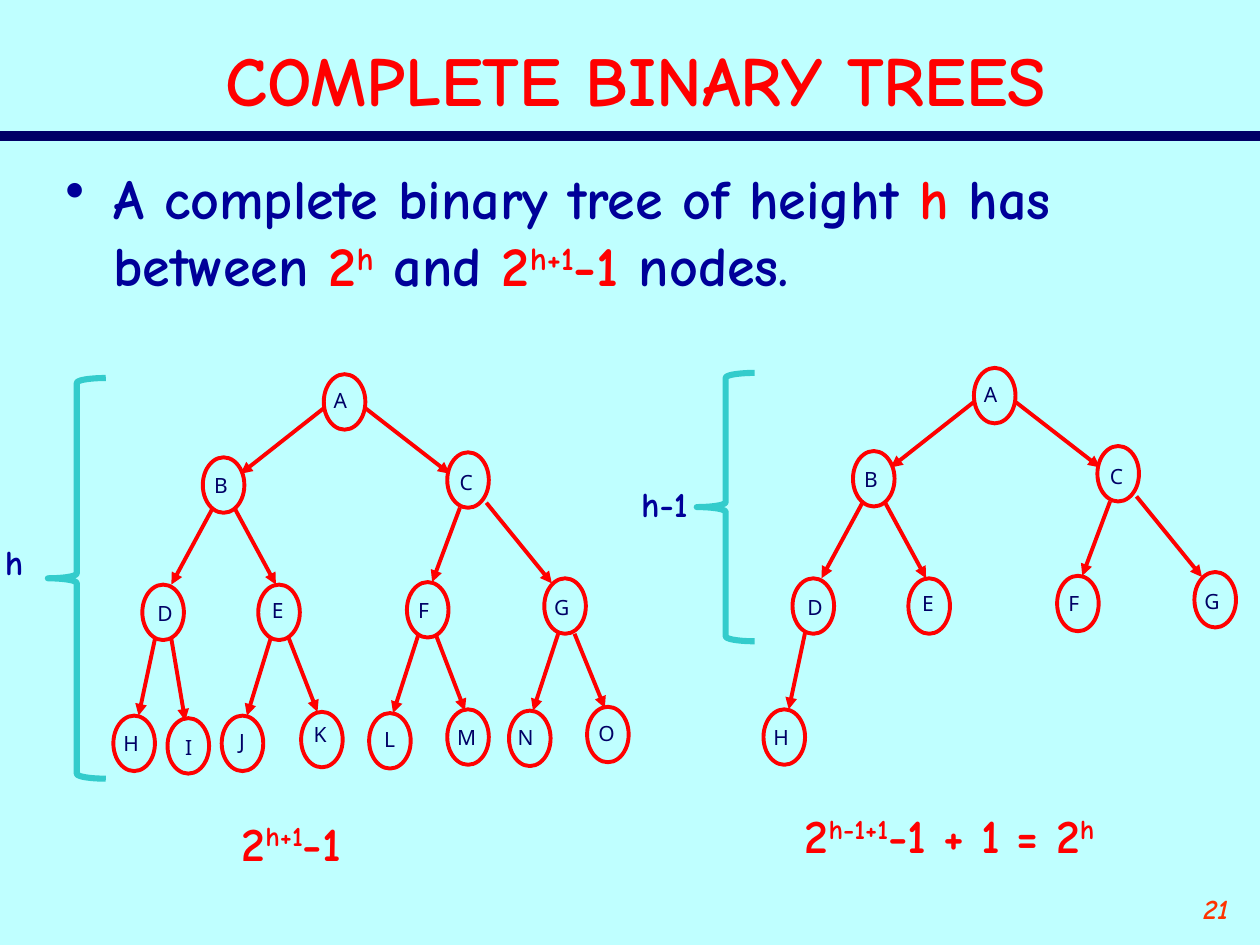
"""Build a slide comparing the fullest and sparsest complete binary trees."""
from dataclasses import dataclass
from typing import NamedTuple

import lxml.etree
import pptx
import pptx.dml.color
import pptx.enum.shapes
import pptx.enum.text
import pptx.oxml
import pptx.oxml.ns
import pptx.util
from pptx.util import Inches

ALIGN = pptx.enum.text.PP_ALIGN
ANCHOR = pptx.enum.text.MSO_ANCHOR
SHAPE = pptx.enum.shapes.MSO_SHAPE


@dataclass(frozen=True)
class Theme:
    background: str = "BFFFFF"
    navy: str = "000066"
    blue: str = "000099"
    red: str = "FF0000"
    orange: str = "FF3300"
    teal: str = "33CCCC"
    display: str = "Comic Neue"
    plain: str = "Noto Sans"
    title: float = 40
    body: float = 32
    formula: float = 27.2
    height: float = 20
    number: float = 16
    node: float = 12
    rule_line: float = 6
    brace_line: float = 3.5
    tree_line: float = 2.25


THEME = Theme()


class Area(NamedTuple):
    left: float
    top: float
    width: float
    height: float


class Span(NamedTuple):
    text: str
    color: str = THEME.red
    raised: bool = False


class Link(NamedTuple):
    x1: float
    y1: float
    x2: float
    y2: float


class Node(NamedTuple):
    name: str
    left: float
    top: float
    label_left: float
    label_top: float
    label_width: float
    link: Link | None = None


NODE_WIDTH, NODE_HEIGHT, LABEL_HEIGHT = 0.33, 0.44, 0.3
RIGHT_SHIFT, RIGHT_RISE = 5.16, -0.05

NODES = [
    Node("A", 2.57, 2.97, 2.55, 3.03, 0.30),
    Node("B", 1.61, 3.63, 1.60, 3.70, 0.31, Link(2.57, 3.24, 1.91, 3.76)),
    Node("C", 3.55, 3.59, 3.55, 3.68, 0.30, Link(2.90, 3.24, 3.57, 3.76)),
    Node("D", 1.13, 4.64, 1.15, 4.72, 0.32, Link(1.69, 4.03, 1.36, 4.64)),
    Node("E", 2.05, 4.64, 2.06, 4.69, 0.29, Link(1.86, 4.03, 2.19, 4.64)),
    Node("F", 3.23, 4.62, 3.22, 4.69, 0.28, Link(3.65, 4.03, 3.43, 4.62)),
    Node("G", 4.32, 4.59, 4.30, 4.67, 0.32, Link(3.86, 3.99, 4.38, 4.63)),
    Node("H", 0.90, 5.68, 0.88, 5.75, 0.32, Link(1.23, 5.07, 1.10, 5.68)),
    Node("I", 1.33, 5.70, 1.37, 5.78, 0.25, Link(1.36, 5.07, 1.47, 5.72)),
    Node("J", 1.76, 5.68, 1.80, 5.73, 0.24, Link(2.15, 5.06, 1.96, 5.68)),
    Node("K", 2.39, 5.65, 2.39, 5.68, 0.30, Link(2.29, 5.06, 2.52, 5.65)),
    Node("L", 2.93, 5.66, 2.95, 5.72, 0.29, Link(3.32, 5.04, 3.12, 5.66)),
    Node("M", 3.55, 5.63, 3.53, 5.70, 0.35, Link(3.46, 5.04, 3.69, 5.64)),
    Node("N", 4.04, 5.64, 4.01, 5.70, 0.32, Link(4.43, 5.03, 4.23, 5.64)),
    Node("O", 4.66, 5.61, 4.65, 5.67, 0.33, Link(4.56, 5.03, 4.80, 5.62)),
]
RIGHT_COUNT = 8


def rgb(color: str) -> pptx.dml.color.RGBColor:
    """Turn a hex string into a colour."""
    return pptx.dml.color.RGBColor.from_string(color)


def add_bullet(para, color: str) -> None:
    """Give a paragraph a hanging round bullet."""
    properties = para._p.get_or_add_pPr()
    properties.set("marL", str(Inches(0.38)))
    properties.set("indent", str(Inches(-0.38)))
    name = pptx.oxml.ns.qn
    bullet_color = lxml.etree.SubElement(properties, name("a:buClr"))
    lxml.etree.SubElement(bullet_color, name("a:srgbClr")).set("val", color)
    lxml.etree.SubElement(properties, name("a:buChar")).set("char", "•")


def add_text(slide, area: Area, spans: list[Span], size: float, *, face: str = THEME.display,
             bold: bool = True, italic: bool = False, align=ALIGN.LEFT, anchor=ANCHOR.TOP,
             wrap: bool = True, spacing: float = 1.0, bullet: bool = False) -> None:
    """Add a one-paragraph text box."""
    box = slide.shapes.add_textbox(*map(Inches, area))
    box.text_frame.word_wrap = wrap
    box.text_frame.vertical_anchor = anchor
    para = box.text_frame.paragraphs[0]
    para.alignment = align
    para.line_spacing = spacing
    if bullet:
        add_bullet(para, THEME.blue)
    para.font.name = face
    para.font.size = pptx.util.Pt(size)
    para.font.bold = bold
    para.font.italic = italic
    for item in spans:
        span = para.add_run()
        span.text = item.text
        span.font.color.rgb = rgb(item.color)
        if item.raised:
            span._r.get_or_add_rPr().set("baseline", "30000")


def add_line(slide, link: Link, color: str, width: float, arrow: bool = False) -> None:
    """Add a straight line, with an arrowhead at its end if asked."""
    line = slide.shapes.add_connector(pptx.enum.shapes.MSO_CONNECTOR.STRAIGHT, *map(Inches, link))
    line.line.color.rgb = rgb(color)
    line.line.width = pptx.util.Pt(width)
    if arrow:
        head = lxml.etree.SubElement(line.get_or_add_ln(), pptx.oxml.ns.qn("a:tailEnd"))
        head.set("type", "triangle")
    lxml.etree.SubElement(line._element.spPr, pptx.oxml.ns.qn("a:effectLst"))


def add_outline(slide, kind, area: Area, color: str, width: float) -> None:
    """Add an unfilled preset shape."""
    shape = slide.shapes.add_shape(kind, *map(Inches, area))
    shape.shadow.inherit = False
    shape.fill.background()
    shape.line.color.rgb = rgb(color)
    shape.line.width = pptx.util.Pt(width)


def add_tree(slide, nodes: list[Node], dx: float = 0, dy: float = 0) -> None:
    """Draw nodes and the arrows to them, moved by an offset."""
    for node in nodes:
        if node.link:
            x1, y1, x2, y2 = node.link
            add_line(slide, Link(x1 + dx, y1 + dy, x2 + dx, y2 + dy),
                     THEME.red, THEME.tree_line, arrow=True)
        add_outline(slide, SHAPE.OVAL, Area(node.left + dx, node.top + dy, NODE_WIDTH, NODE_HEIGHT),
                    THEME.red, THEME.tree_line)
        label = Area(node.label_left + dx, node.label_top + dy, node.label_width, LABEL_HEIGHT)
        add_text(slide, label, [Span(node.name, THEME.navy)], THEME.node,
                 face=THEME.plain, bold=False, wrap=False)


def add_height(slide, brace: Area, label: Area, text: str) -> None:
    """Draw a brace with the height it spans."""
    add_outline(slide, SHAPE.LEFT_BRACE, brace, THEME.teal, THEME.brace_line)
    add_text(slide, label, [Span(text, THEME.blue)], THEME.height)


def main() -> None:
    """Build and save the deck."""
    deck = pptx.Presentation()
    deck.slide_width, deck.slide_height = Inches(10), Inches(7.5)
    slide = deck.slides.add_slide(deck.slide_layouts[6])
    slide.background.fill.solid()
    slide.background.fill.fore_color.rgb = rgb(THEME.background)

    add_line(slide, Link(0, 1.08, 10, 1.08), THEME.navy, THEME.rule_line)
    add_text(slide, Area(8.85, 7.03, 1, 0.5), [Span("21", THEME.orange)], THEME.number,
             italic=True, align=ALIGN.RIGHT)
    add_text(slide, Area(0.42, 0.25, 9.25, 0.75), [Span("COMPLETE BINARY TREES")], THEME.title,
             align=ALIGN.CENTER, anchor=ANCHOR.MIDDLE)
    add_text(slide, Area(0.42, 1.25, 9.25, 5.92), [
        Span("A complete binary tree of height ", THEME.blue), Span("h"),
        Span(" has between ", THEME.blue), Span("2"), Span("h", raised=True),
        Span(" and ", THEME.blue), Span("2"), Span("h+1", raised=True), Span("-1"),
        Span(" nodes.", THEME.blue)], THEME.body, bullet=True)

    add_tree(slide, NODES[:RIGHT_COUNT], RIGHT_SHIFT, RIGHT_RISE)
    add_height(slide, Area(5.53, 2.96, 0.46, 2.13), Area(4.99, 3.78, 0.79, 0.59), "h-1")
    add_text(slide, Area(6.29, 6.4, 3.34, 0.59), [
        Span("2"), Span("h-1+1", raised=True), Span("-1 + 1 = 2"), Span("h", raised=True)],
        THEME.formula, spacing=0.9)

    add_tree(slide, NODES)
    add_height(slide, Area(0.38, 3, 0.46, 3.18), Area(-0.06, 4.24, 0.52, 0.59), "h")
    add_text(slide, Area(1.82, 6.46, 1.5, 0.59), [
        Span("2"), Span("h+1", raised=True), Span("-1")], THEME.formula, spacing=0.9)
    deck.save("out.pptx")


if __name__ == "__main__":
    main()
